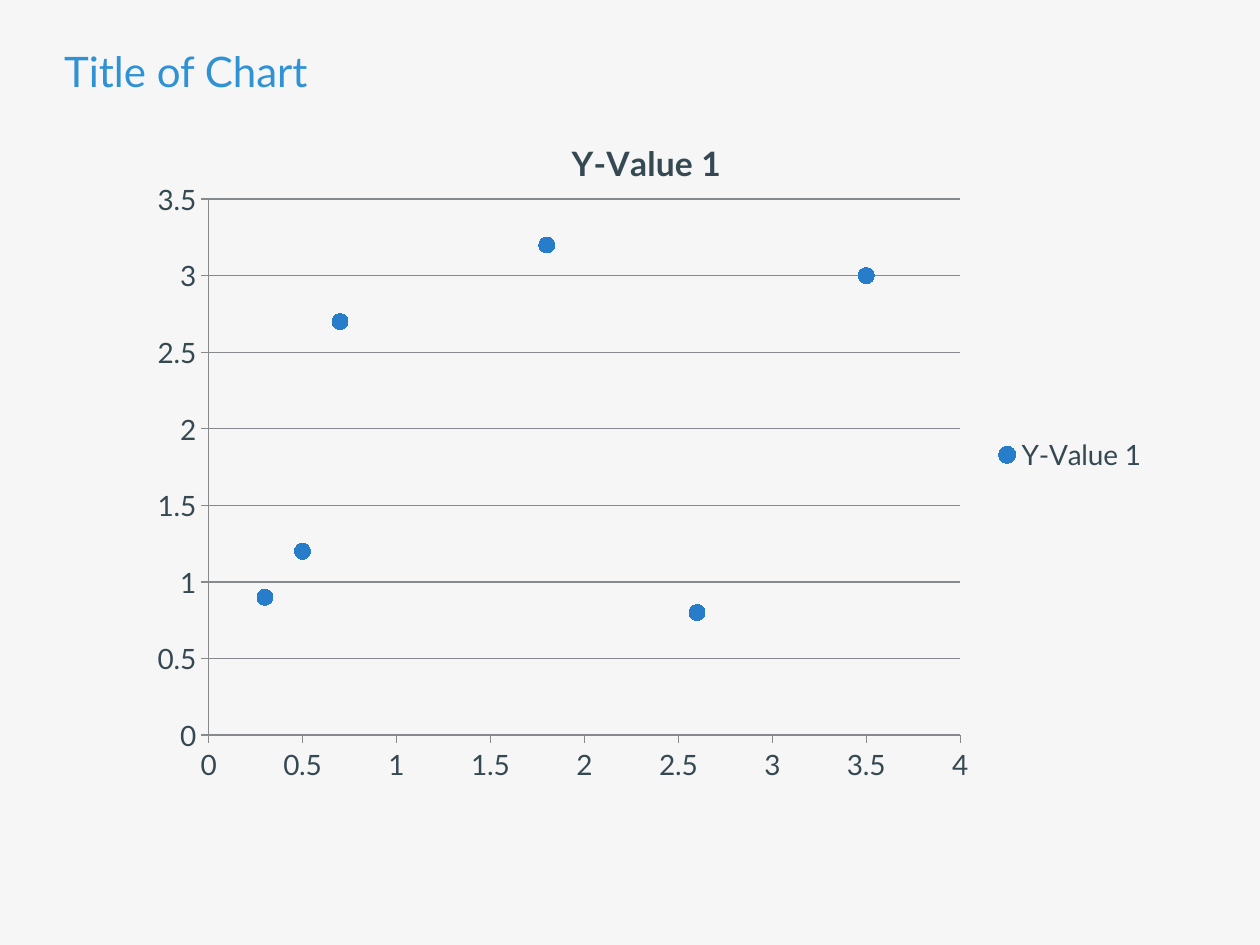
from lxml import etree
from pptx import Presentation
from pptx.chart.data import XyChartData
from pptx.dml.color import RGBColor
from pptx.enum.chart import (XL_CHART_TYPE, XL_LEGEND_POSITION, XL_MARKER_STYLE,
                             XL_TICK_LABEL_POSITION, XL_TICK_MARK)
from pptx.enum.text import MSO_ANCHOR, PP_ALIGN
from pptx.oxml.ns import qn
from pptx.util import Cm, Pt

SCATTER = XL_CHART_TYPE.XY_SCATTER
LEGEND_RIGHT = XL_LEGEND_POSITION.RIGHT
CIRCLE = XL_MARKER_STYLE.CIRCLE
TICK_OUT, TICK_NONE = XL_TICK_MARK.OUTSIDE, XL_TICK_MARK.NONE
LABELS_NEXT = XL_TICK_LABEL_POSITION.NEXT_TO_AXIS
MIDDLE, LEFT = MSO_ANCHOR.MIDDLE, PP_ALIGN.LEFT

BACKGROUND = RGBColor(0xF6, 0xF6, 0xF6)
TITLE_BLUE = RGBColor(0x2F, 0x92, 0xD5)
MARKER_BLUE = RGBColor(0x27, 0x7D, 0xCA)
TEXT_SLATE = RGBColor(0x35, 0x49, 0x52)
LINE_GREY = RGBColor(0x86, 0x8A, 0x8C)
FONT = "Lato"

SERIES_NAME = "Y-Value 1"
POINTS = [(0.7, 2.7), (1.8, 3.2), (2.6, 0.8), (0.5, 1.2), (0.3, 0.9), (3.5, 3)]
PLOT_BOX = {"x": 0.07, "y": 0.13, "w": 0.73, "h": 0.78}
PLOT_BOX.update(x=0.074, y=0.127, w=0.731, h=0.782)


def set_format(target, values):
    for name, value in values.items():
        setattr(target, name, value)


def set_font(font, size, color, bold=False):
    set_format(font, {"name": FONT, "size": Pt(size), "bold": bold})
    font.color.rgb = color


def set_line(line):
    line.color.rgb = LINE_GREY
    line.width = Pt(0.75)


def place_title(title, box, text):
    set_format(title, dict(zip(("left", "top", "width", "height"), box)))
    tf = title.text_frame
    set_format(tf, {"word_wrap": True, "vertical_anchor": MIDDLE, "text": text})
    p = tf.paragraphs[0]
    set_format(p, {"alignment": LEFT, "line_spacing": 0.9, "space_after": Pt(6)})
    set_font(p.runs[0].font, 24, TITLE_BLUE)


def set_plot_box(chart, box):
    """Fix the inner plot area as fractions of the chart."""
    plot_area = chart.plots[0]._element.getparent()
    for old in plot_area.findall(qn("c:layout")):
        plot_area.remove(old)
    layout = etree.Element(qn("c:layout"))
    plot_area.insert(0, layout)
    manual = etree.SubElement(layout, qn("c:manualLayout"))
    values = {"layoutTarget": "inner", "xMode": "edge", "yMode": "edge", **box}
    for name, value in values.items():
        etree.SubElement(manual, qn(f"c:{name}")).set("val", str(value))


def add_scatter(slide, box):
    data = XyChartData()
    points = data.add_series(SERIES_NAME)
    for x, y in POINTS:
        points.add_data_point(x, y)
    chart = slide.shapes.add_chart(SCATTER, *box, data).chart
    set_font(chart.font, 16, TEXT_SLATE)
    set_plot_box(chart, PLOT_BOX)

    # Chart title and legend
    chart.has_title = True
    tf = chart.chart_title.text_frame
    tf.text = SERIES_NAME
    set_font(tf.paragraphs[0].runs[0].font, 19.2, TEXT_SLATE, bold=True)
    chart.chart_title.include_in_layout = False
    chart.has_legend = True
    set_format(chart.legend, {"position": LEGEND_RIGHT, "include_in_layout": False})

    # Axes
    for axis, top, grid in ((chart.category_axis, 4, False),
                            (chart.value_axis, 3.5, True)):
        set_format(axis, {
            "minimum_scale": 0, "maximum_scale": top, "major_unit": 0.5,
            "major_tick_mark": TICK_OUT, "minor_tick_mark": TICK_NONE,
            "tick_label_position": LABELS_NEXT, "has_major_gridlines": grid})
        set_format(axis.tick_labels, {"number_format": "General",
                                      "number_format_is_linked": False})
        set_line(axis.format.line)
    set_line(chart.value_axis.major_gridlines.format.line)

    # Markers without a joining line
    plot = chart.plots[0]
    plot.vary_by_categories = False
    series = plot.series[0]
    series.format.line.fill.background()
    marker = series.marker
    set_format(marker, {"style": CIRCLE, "size": 9})
    marker.format.fill.solid()
    marker.format.fill.fore_color.rgb = MARKER_BLUE
    marker.format.line.color.rgb = MARKER_BLUE


def main():
    prs = Presentation()
    set_format(prs, {"slide_width": Cm(25.4), "slide_height": Cm(19.05)})
    slide = prs.slides.add_slide(prs.slide_layouts[5])
    fill = slide.background.fill
    fill.solid()
    fill.fore_color.rgb = BACKGROUND

    add_scatter(slide, (Cm(2.67), Cm(2.26), Cm(20.73), Cm(13.82)))
    place_title(slide.shapes.title, (Cm(1.04), Cm(0.89), Cm(17.65), Cm(1.19)),
                "Title of Chart")
    prs.save("out.pptx")


if __name__ == "__main__":
    main()
